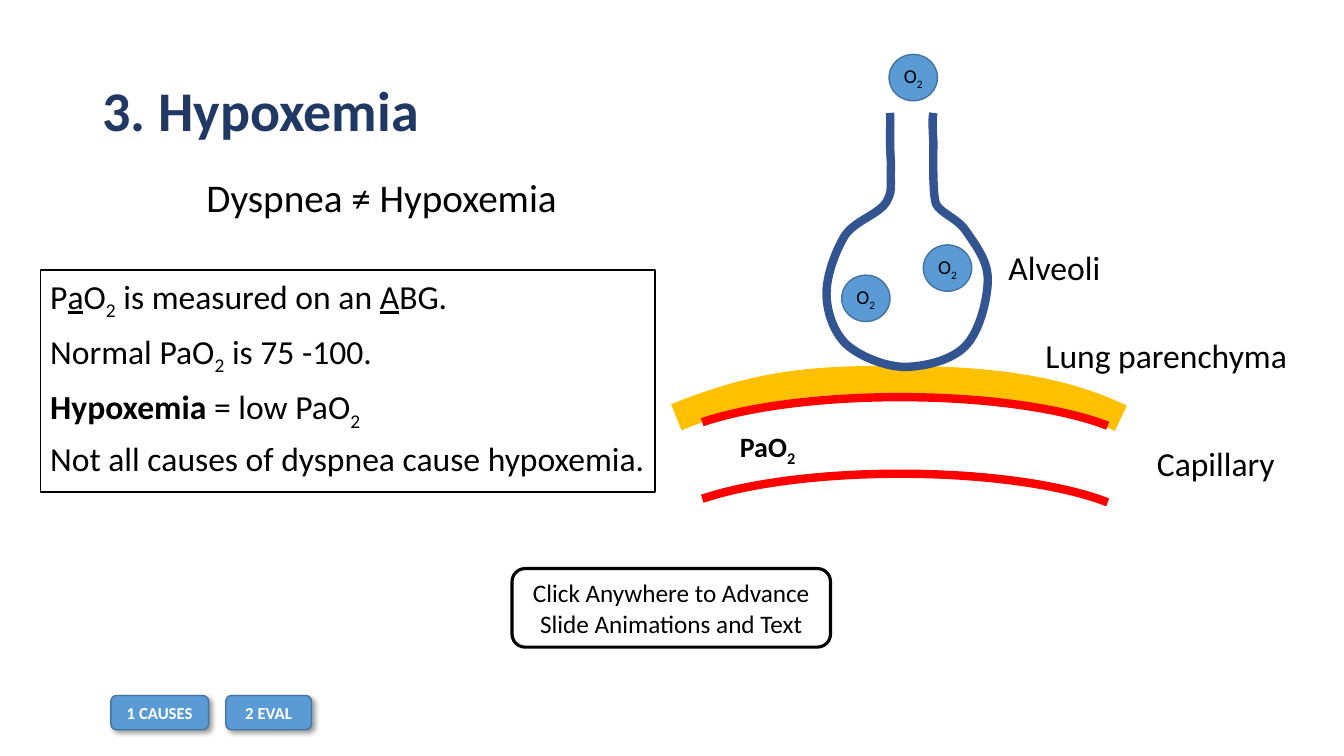
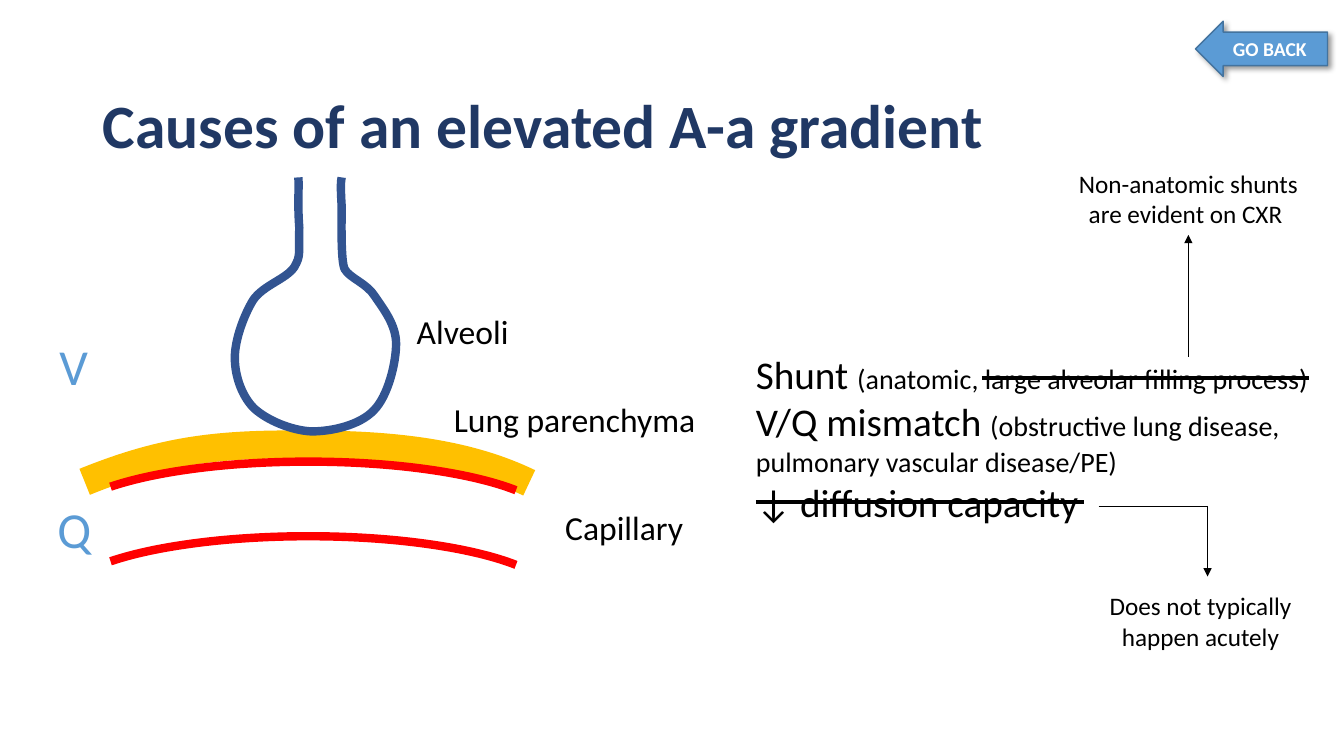
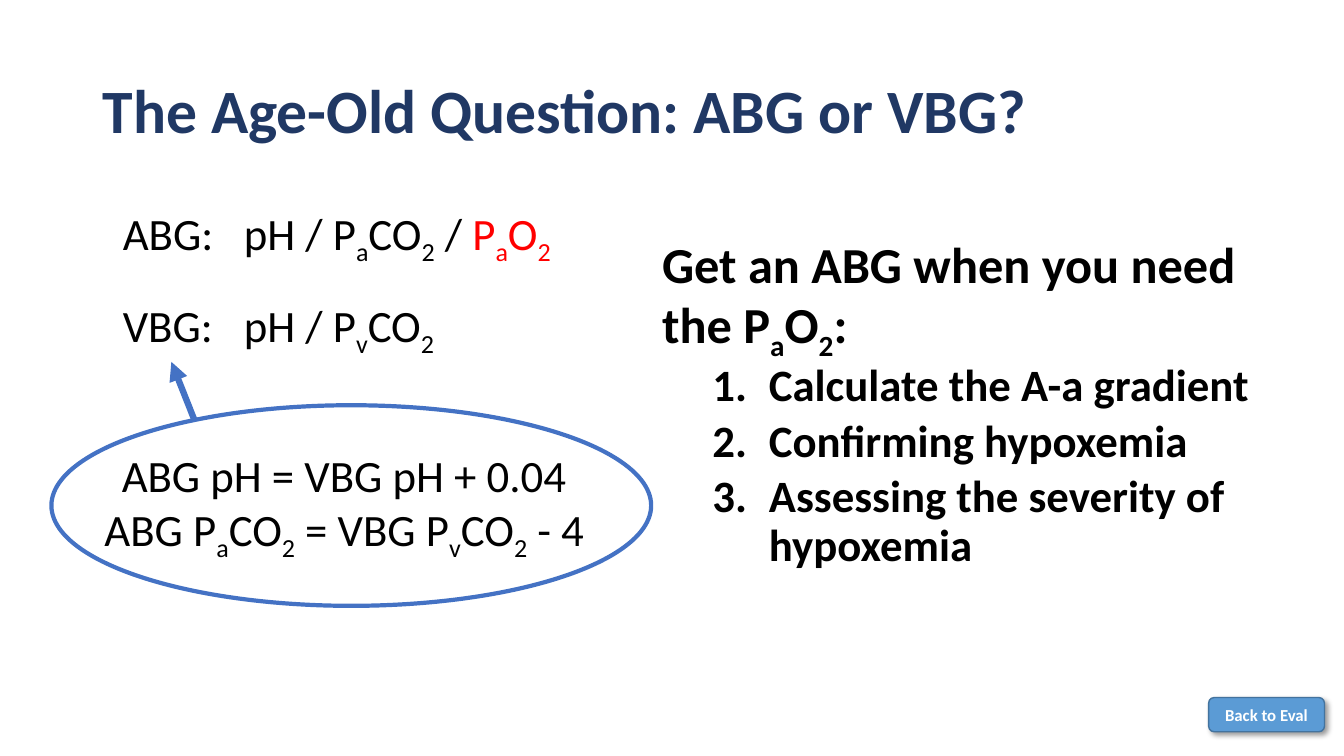
import dataclasses
import itertools
from typing import Optional

import pptx
import pptx.dml.color
import pptx.enum.shapes
import pptx.enum.text
import pptx.oxml.ns
import pptx.util
from lxml import etree

PX = 9144  # EMU in one px, 100 px to the inch
FONT = "Calibri"
COLORS = {
    "black": "000000",
    "white": "FFFFFF",
    "title": "203864",
    "button": "5B9BD5",
    "button_edge": "43739E",
    "accent": "4472C4",
    "alveolus": "325491",
    "parenchyma": "FFC000",
    "red": "FF0000",
}
SHAPE = pptx.enum.shapes.MSO_SHAPE
ANCHOR = pptx.enum.text.MSO_ANCHOR
LEFT = pptx.enum.text.PP_ALIGN.LEFT
CENTER = pptx.enum.text.PP_ALIGN.CENTER
qn = pptx.oxml.ns.qn

# Outlines: a start point, then cubic segments of three points each
PARENCHYMA = [
    (671, 414), (750, 382), (804, 376), (894, 377), (988, 377), (1056, 388), (1112, 415),
]
ALVEOLUS = [
    (883, 112), (884, 122), (882, 135), (884, 162), (883, 188), (886, 189), (879, 201),
    (871, 213), (848, 219), (838, 234), (829, 249), (820, 273), (820, 291),
    (820, 309), (827, 329), (839, 341), (852, 353), (876, 363), (896, 364),
    (916, 364), (944, 358), (958, 343), (972, 329), (980, 296), (980, 277),
    (980, 258), (967, 242), (959, 230), (951, 217), (934, 212), (929, 203),
    (925, 195), (926, 155), (926, 140), (925, 125), (925, 116), (926, 112),
]
CAPILLARY_ANGLES = (114.424, 210.445)


@dataclasses.dataclass(frozen=True)
class Box:
    left: int
    top: int
    width: int
    height: int

    def emu(self) -> list[int]:
        return [value * PX for value in dataclasses.astuple(self)]


@dataclasses.dataclass(frozen=True)
class Run:
    """Text in which an underscore lowers the next character."""
    text: str
    size: Optional[int] = None
    color: Optional[str] = None
    bold: Optional[bool] = None
    underline: Optional[bool] = None


@dataclasses.dataclass(frozen=True)
class Paragraph:
    runs: tuple[Run, ...]
    size: Optional[int]  # None when the runs differ
    color: str = "black"
    bold: bool = False
    align: object = LEFT
    line_spacing: Optional[float] = None
    space_before: int = 0
    margin: int = 0
    indent: int = 0
    numbered: bool = False
    tab: Optional[int] = None


@dataclasses.dataclass(frozen=True)
class Label:
    text: str
    box: Box


@dataclasses.dataclass(frozen=True)
class Line:
    start: tuple[int, int]
    end: tuple[int, int]
    width: float
    color: str = "black"
    arrow: bool = False


LUNG_LABELS = (
    Label("Alveoli", Box(990, 240, 112, 50)),
    Label("Capillary ", Box(1137, 434, 146, 50)),
    Label("Lung parenchyma", Box(1026, 327, 262, 50)),
)


def rgb(name: str) -> pptx.dml.color.RGBColor:
    return pptx.dml.color.RGBColor.from_string(COLORS[name])


def plain(text: str, size: int, **options) -> Paragraph:
    return Paragraph((Run(text),), size, **options)


# Text
def add_runs(paragraph, source: Run) -> None:
    head, *tails = source.text.split("_")
    pieces = [(head, False)]
    for tail in tails:
        pieces += [(tail[0], True), (tail[1:], False)]
    for text, lowered in pieces:
        if not text:
            continue
        run = paragraph.add_run()
        run.text = text
        if source.size:
            run.font.size = pptx.util.Pt(source.size)
        if source.color:
            run.font.color.rgb = rgb(source.color)
        if source.bold:
            run.font.bold = True
        if source.underline:
            run.font.underline = True
        if lowered:
            run._r.get_or_add_rPr().set("baseline", "-25000")


def write_text(shape, paragraphs, anchor=ANCHOR.TOP, wrap: bool = True) -> None:
    frame = shape.text_frame
    frame.word_wrap = wrap
    frame.vertical_anchor = anchor
    for index, source in enumerate(paragraphs):
        paragraph = frame.add_paragraph() if index else frame.paragraphs[0]
        properties = paragraph._p.get_or_add_pPr()
        if source.margin:
            properties.set("marL", str(source.margin * PX))
            properties.set("indent", str(source.indent * PX))
        if source.numbered:
            etree.SubElement(properties, qn("a:buAutoNum"), type="arabicPeriod")
        if source.tab:
            tabs = etree.SubElement(properties, qn("a:tabLst"))
            etree.SubElement(tabs, qn("a:tab"), pos=str(source.tab * PX), algn="l")
        paragraph.alignment = source.align
        if source.line_spacing:
            paragraph.line_spacing = source.line_spacing
        if index and source.space_before:
            paragraph.space_before = pptx.util.Pt(source.space_before)
        paragraph.font.name = FONT
        if source.size:
            paragraph.font.size = pptx.util.Pt(source.size)
        if source.bold:
            paragraph.font.bold = True
        paragraph.font.color.rgb = rgb(source.color)
        for run in source.runs:
            add_runs(paragraph, run)


def add_text(slide, box: Box, *paragraphs: Paragraph, anchor=ANCHOR.TOP, wrap: bool = True) -> None:
    write_text(slide.shapes.add_textbox(*box.emu()), paragraphs, anchor, wrap)


def add_title(slide, text: str, size: int = 44, top: int = 40) -> None:
    title = plain(text, size, color="title", bold=True, line_spacing=0.9)
    add_text(slide, Box(92, top, 1150, 145), title, anchor=ANCHOR.MIDDLE)


# Shapes and lines
def style_shape(shape, fill: Optional[str], line: str, width: float) -> None:
    if fill:
        shape.fill.solid()
        shape.fill.fore_color.rgb = rgb(fill)
    else:
        shape.fill.background()
    shape.line.color.rgb = rgb(line)
    shape.line.width = pptx.util.Pt(width)
    shape.shadow.inherit = False


def add_shape(slide, kind, box: Box, fill: Optional[str], line: str, width: float, adjustments=()):
    shape = slide.shapes.add_shape(kind, *box.emu())
    for index, value in enumerate(adjustments):
        shape.adjustments[index] = value
    style_shape(shape, fill, line, width)
    return shape


def add_button(slide, text: str, box: Box, size: int = 12, kind=SHAPE.ROUNDED_RECTANGLE, adjustments=()) -> None:
    button = add_shape(slide, kind, box, "button", "button_edge", 1, adjustments)
    effects = button._element.spPr.find(qn("a:effectLst"))
    shadow = etree.SubElement(
        effects, qn("a:outerShdw"), blurRad=str(pptx.util.Pt(4)), dist=str(pptx.util.Pt(3)),
        dir="2700000", algn="tl", rotWithShape="0")
    color = etree.SubElement(shadow, qn("a:srgbClr"), val=COLORS["black"])
    etree.SubElement(color, qn("a:alpha"), val="40000")
    label = plain(text, size, color="white", bold=True, align=CENTER)
    write_text(button, [label], ANCHOR.MIDDLE)


def add_line(slide, line: Line) -> None:
    ends = [value * PX for value in line.start + line.end]
    connector = slide.shapes.add_connector(pptx.enum.shapes.MSO_CONNECTOR.STRAIGHT, *ends)
    connector.line.color.rgb = rgb(line.color)
    connector.line.width = pptx.util.Pt(line.width)
    if line.arrow:
        etree.SubElement(connector.line._get_or_add_ln(), qn("a:tailEnd"), type="triangle")
    etree.SubElement(connector._element.spPr, qn("a:effectLst"))


def add_curve(slide, outline, right: int, down: int, color: str, width: float) -> None:
    points = [((x + right) * PX, (y + down) * PX) for x, y in outline]
    builder = slide.shapes.build_freeform(*points[0], scale=1.0)
    builder.add_line_segments(points[1:], close=False)
    curve = builder.convert_to_shape()
    # Every three straight steps become one cubic segment
    segments = list(curve._element.iter(qn("a:lnTo")))
    for first in range(0, len(segments), 3):
        cubic = etree.Element(qn("a:cubicBezTo"))
        segments[first].addprevious(cubic)
        for segment in segments[first:first + 3]:
            cubic.append(segment[0])
            segment.getparent().remove(segment)
    style_shape(curve, None, color, width)


# Lung diagram, moved as a whole
def add_lung(slide, right: int = 0, down: int = 0, capillary_gap: int = 76) -> None:
    add_curve(slide, PARENCHYMA, right, down, "parenchyma", 20)
    for top in (394, 394 + capillary_gap):
        wall = Box(648 + right, top + down, 490, 124)
        add_shape(slide, SHAPE.ARC, wall, None, "red", 6, CAPILLARY_ANGLES)
    add_curve(slide, ALVEOLUS, right, down, "alveolus", 6)
    for label in LUNG_LABELS:
        box = dataclasses.replace(label.box, left=label.box.left + right, top=label.box.top + down)
        add_text(slide, box, plain(label.text, 24, align=CENTER), wrap=False)


# Slides
def build_hypoxemia(slide) -> None:
    add_title(slide, "3. Hypoxemia", 40)
    add_lung(slide)
    add_text(slide, Box(723, 421, 77, 44), plain("PaO_2", 20, bold=True, align=CENTER), wrap=False)
    for left, top in ((835, 273), (882, 54), (916, 243)):
        oxygen = add_shape(slide, SHAPE.OVAL, Box(left, top, 48, 46), "button", "button_edge", 1)
        frame = oxygen.text_frame
        frame.margin_left = frame.margin_right = frame.margin_top = frame.margin_bottom = 0
        write_text(oxygen, [plain("O_2", 14, align=CENTER)], ANCHOR.MIDDLE)

    facts = (
        (Run("P"), Run("a", underline=True), Run("O_2 is measured on an "),
         Run("A", underline=True), Run("BG.")),
        (Run("Normal PaO_2 is 75 -100."),),
        (Run("Hypoxemia", bold=True), Run(" = low PaO_2")),
        (Run("Not all causes of dyspnea cause hypoxemia."),),
    )
    panel = add_shape(slide, SHAPE.RECTANGLE, Box(40, 268, 610, 220), "white", "black", 1)
    panel.text_frame.margin_top = 6 * PX
    write_text(panel, [Paragraph(runs, 24, line_spacing=0.9, space_before=10) for runs in facts])
    add_text(slide, Box(195, 172, 398, 58), plain("Dyspnea ≠ Hypoxemia", 28, line_spacing=0.9))

    add_button(slide, "1 CAUSES", Box(110, 690, 97, 34))
    add_button(slide, "2 EVAL", Box(224, 690, 85, 34))
    hint = add_shape(slide, SHAPE.ROUNDED_RECTANGLE, Box(508, 564, 316, 78), "white", "black", 2.25)
    hint_text = plain("Click Anywhere to Advance Slide Animations and Text", 18, align=CENTER)
    write_text(hint, [hint_text], ANCHOR.MIDDLE)


def build_gradient(slide) -> None:
    add_title(slide, "Causes of an elevated A-a gradient", top=55)
    add_lung(slide, -587, 64, capillary_gap=74)
    add_text(slide, Box(49, 328, 137, 71), plain("V", 36, color="button"))
    add_text(slide, Box(47, 489, 51, 71), plain("Q", 36, color="button"))

    causes = (
        Paragraph((Run("Shunt ", 28), Run("(anatomic, large alveolar filling process)", 20)),
                  None, margin=50),
        Paragraph((Run("V/Q mismatch ", 28),
                   Run("(obstructive lung disease, pulmonary vascular disease/PE)", 20)),
                  None, margin=50),
        plain("↓ diffusion capacity", 28, margin=50),
    )
    add_text(slide, Box(690, 343, 625, 185), *causes)
    add_text(slide, Box(1057, 581, 268, 71),
             plain("Does not typically happen acutely", 18, align=CENTER))
    add_text(slide, Box(1043, 162, 272, 71),
             plain("Non-anatomic shunts are evident on CXR ", 18, align=CENTER))

    lines = (
        Line((1090, 502), (1198, 502), 0.5),
        Line((1198, 502), (1198, 572), 0.5, arrow=True),
        Line((1179, 354), (1179, 233), 0.5, arrow=True),
        Line((974, 375), (1299, 375), 2.25),
        Line((750, 498), (1075, 498), 2.25),
    )
    for line in lines:
        add_line(slide, line)
    add_button(slide, "GO BACK", Box(1186, 21, 131, 55), 14, SHAPE.LEFT_ARROW, (0.604, 0.5))


def build_blood_gas(slide) -> None:
    add_title(slide, "The Age-Old Question: ABG or VBG?")
    arterial = (Run("ABG:\tpH / P_aCO_2 / "), Run("P_aO_2", color="red"))
    add_text(slide, Box(112, 199, 455, 64), Paragraph(arterial, 32, tab=120))
    add_text(slide, Box(112, 290, 388, 64), plain("VBG:\tpH / P_vCO_2", 32, tab=120))

    add_line(slide, Line((193, 417), (170, 359), 4.5, "accent", arrow=True))
    conversions = ("ABG pH = VBG pH + 0.04", "ABG P_aCO_2 = VBG P_vCO_2 - 4")
    add_text(slide, Box(80, 439, 523, 118),
             *(plain(text, 32, align=CENTER) for text in conversions))
    add_shape(slide, SHAPE.OVAL, Box(51, 402, 595, 199), None, "accent", 3)

    heading = plain("Get an ABG when you need the P_aO_2:", 36, bold=True, line_spacing=0.9)
    reasons = (
        plain(text, 32, bold=True, line_spacing=0.9, space_before=5,
              margin=106, indent=-56, numbered=True)
        for text in ("Calculate the A-a gradient", "Confirming hypoxemia",
                     "Assessing the severity of hypoxemia")
    )
    add_text(slide, Box(647, 233, 652, 426), *itertools.chain([heading], reasons))
    add_button(slide, "Back to Eval", Box(1199, 692, 115, 34))


def main() -> None:
    presentation = pptx.Presentation()
    presentation.slide_height = 750 * PX
    presentation.slide_width = presentation.slide_height * 16 // 9
    for build in (build_hypoxemia, build_gradient, build_blood_gas):
        build(presentation.slides.add_slide(presentation.slide_layouts[6]))
    presentation.save("out.pptx")


if __name__ == "__main__":
    main()
